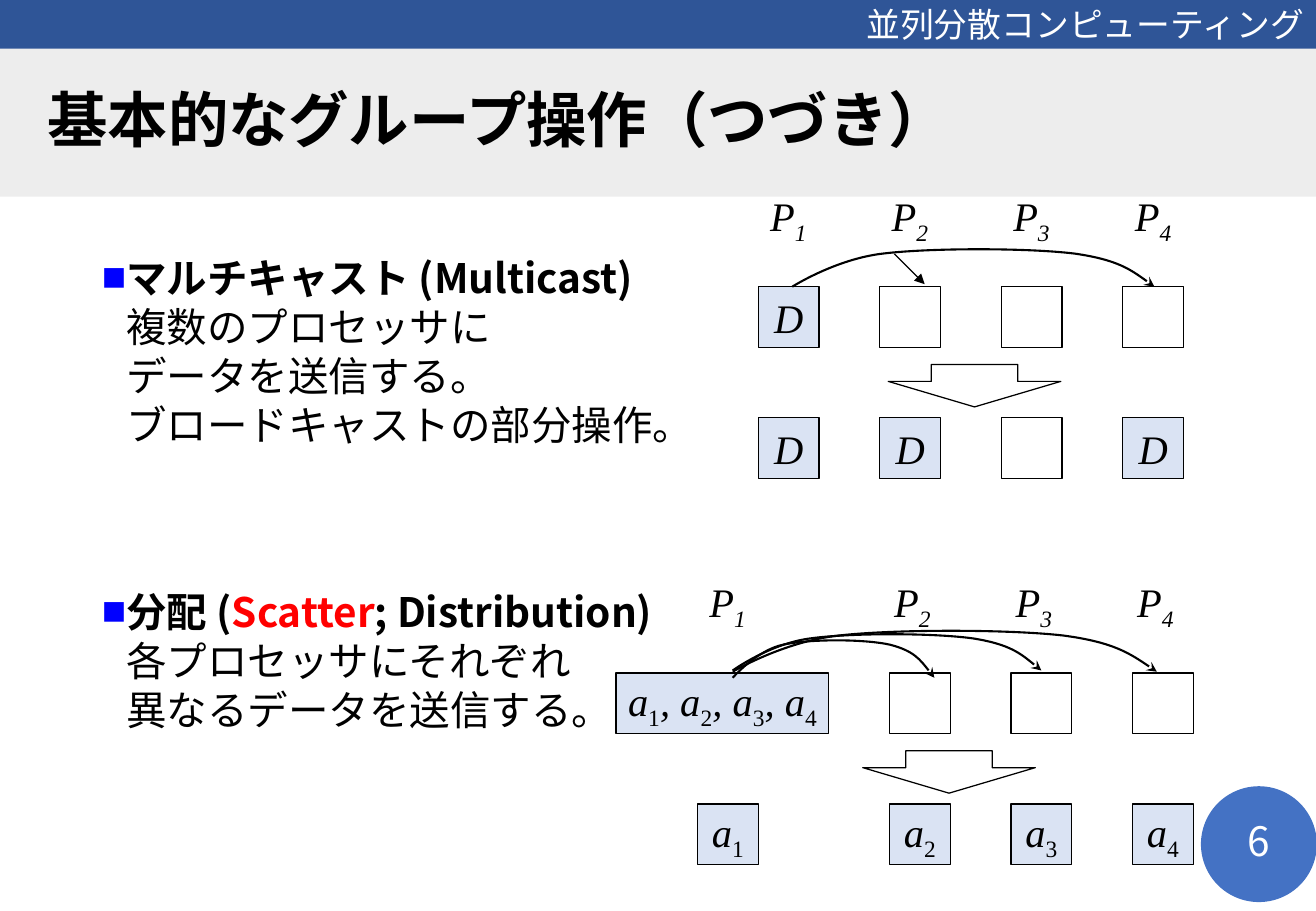
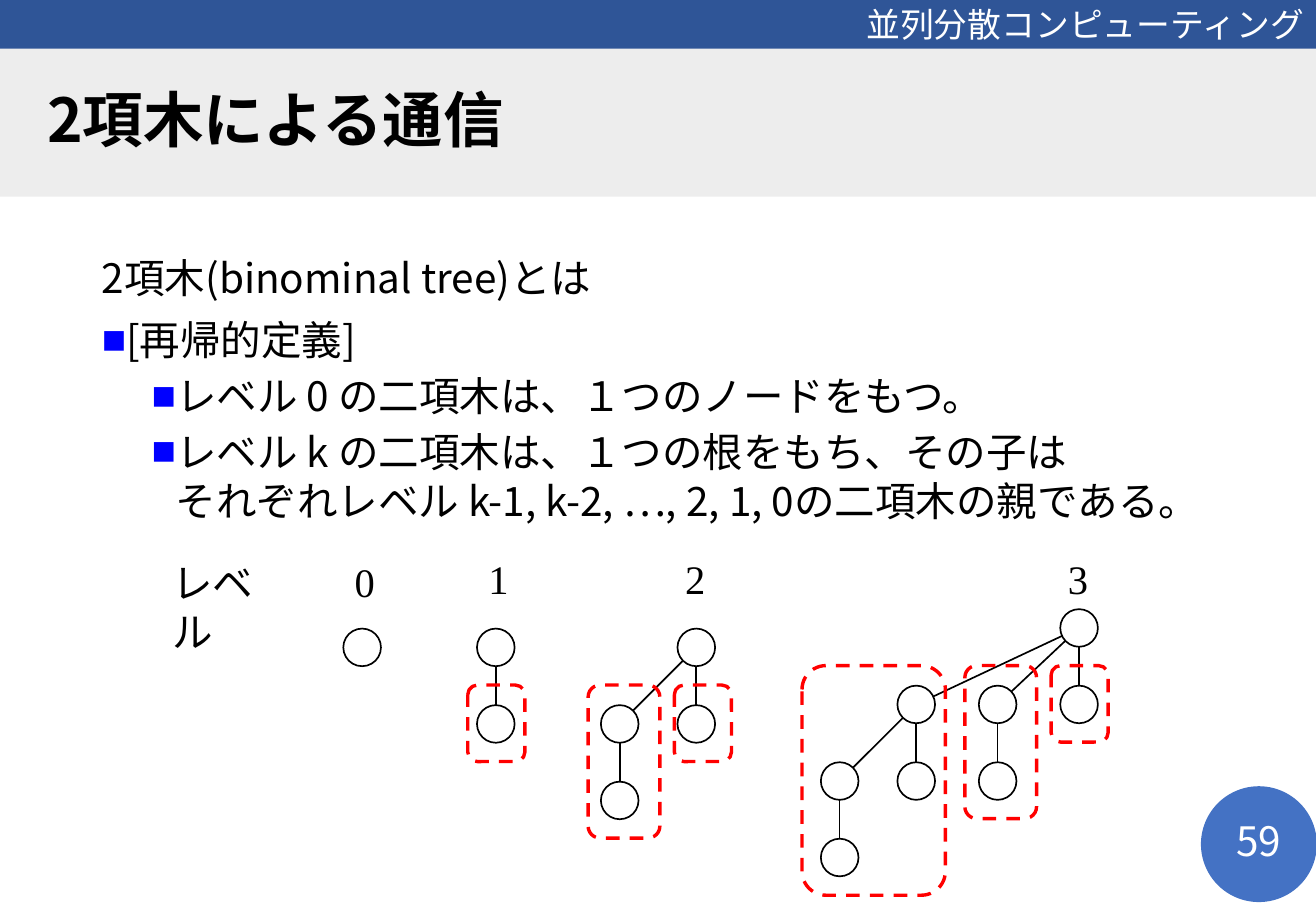
import lxml.etree
import pptx
import pptx.dml.color
import pptx.enum.dml
import pptx.enum.shapes
import pptx.enum.text
import pptx.oxml.ns
import pptx.util

PX = 9144
SLIDE_WIDTH, SLIDE_HEIGHT = 1083, 750

BLACK = pptx.dml.color.RGBColor(0x00, 0x00, 0x00)
WHITE = pptx.dml.color.RGBColor(0xFF, 0xFF, 0xFF)
RED = pptx.dml.color.RGBColor(0xFF, 0x00, 0x00)
BULLET_BLUE = pptx.dml.color.RGBColor(0x00, 0x00, 0xFF)
HEADER_BLUE = pptx.dml.color.RGBColor(0x2F, 0x55, 0x97)
BADGE_BLUE = pptx.dml.color.RGBColor(0x44, 0x72, 0xC4)
DATA_BLUE = pptx.dml.color.RGBColor(0xDA, 0xE3, 0xF3)
TITLE_GRAY = pptx.dml.color.RGBColor(0xED, 0xED, 0xED)

SANS, SERIF, HEADER_FONT = "Noto Sans CJK JP", "Times New Roman", "Lato"
LINE_PITCH = pptx.util.Pt(29)

SHAPES = pptx.enum.shapes.MSO_SHAPE
ALIGN = pptx.enum.text.PP_ALIGN
ANCHOR = pptx.enum.text.MSO_ANCHOR

CELL = 50
ARC_POINTS = [(0, 0), (0.05, 0.34), (0.1, 0.69), (0.22, 0.85), (0.35, 1),
              (0.62, 1), (0.75, 0.85), (0.88, 0.71), (1, 0), (1, 0)]

NODE, GENERATION = 31, 63
CHILD_PITCH = {1: 0, 2: 63, 3: 67}
FRAME_WIDTHS = [47, 59, 118]


def px(*lengths):
    """Turn px lengths into EMU."""
    return [pptx.util.Emu(round(length * PX)) for length in lengths]


def add_element(parent, tag, **attributes):
    """Append a drawing element to a parent."""
    return lxml.etree.SubElement(parent, pptx.oxml.ns.qn(tag), **attributes)


def add_run(paragraph, text, size=24, font=SANS, color=BLACK, bold=False, italic=False, baseline=0):
    """Add one formatted run."""
    run = paragraph.add_run()
    run.text = text
    run.font.size = pptx.util.Pt(size)
    run.font.bold, run.font.italic = bold, italic
    run.font.color.rgb = color
    run.font.name = font
    properties = run.font._element
    add_element(properties, "a:ea", typeface=font)
    if baseline:
        properties.set("baseline", str(baseline * 1000))


def write_paragraph(paragraph, runs, align=ALIGN.LEFT, spacing=None, before=0,
                    bullet_left=None, **run_format):
    """Fill a paragraph with (text, format) runs, breaking lines at newlines."""
    if bullet_left is not None:
        properties = paragraph._p.get_or_add_pPr()
        hanging = px(20)[0]
        properties.set("marL", str(px(bullet_left)[0] + hanging))
        properties.set("indent", str(-hanging))
        add_element(add_element(properties, "a:buClr"), "a:srgbClr", val=str(BULLET_BLUE))
        add_element(properties, "a:buFont", typeface=SERIF)
        add_element(properties, "a:buChar", char="■")
    paragraph.alignment = align
    if spacing:
        paragraph.line_spacing = spacing
    if before:
        paragraph.space_before = pptx.util.Pt(before)
    for text, own_format in runs:
        for number, line in enumerate(text.split("\n")):
            if number:
                paragraph.add_line_break()
            if line:
                add_run(paragraph, line, **{**run_format, **own_format})


def prepare_frame(shape, anchor=ANCHOR.MIDDLE, margins=(10, 5, 10, 5)):
    """Set wrapping, anchor and margins, and return the text frame."""
    frame = shape.text_frame
    frame.word_wrap = True
    frame.vertical_anchor = anchor
    frame.margin_left, frame.margin_top, frame.margin_right, frame.margin_bottom = px(*margins)
    return frame


def add_text(slide, box, runs, anchor=ANCHOR.TOP, **text_format):
    """Add a text box with one paragraph."""
    frame = prepare_frame(slide.shapes.add_textbox(*px(*box)), anchor)
    write_paragraph(frame.paragraphs[0], runs, **text_format)


def add_shape(slide, kind, box, fill=WHITE, line=BLACK, width=0.75):
    """Add a preset shape with a plain fill and line."""
    shape = slide.shapes.add_shape(kind, *px(*box))
    shape.shadow.inherit = False
    if fill is None:
        shape.fill.background()
    else:
        shape.fill.solid()
        shape.fill.fore_color.rgb = fill
    if line is None:
        shape.line.fill.background()
    else:
        shape.line.color.rgb = line
        shape.line.width = pptx.util.Pt(width)
    return shape


def add_line(slide, start, end, width=1.0, arrow=False):
    """Add a straight black line, with an arrowhead at its end if asked."""
    line = slide.shapes.add_connector(
        pptx.enum.shapes.MSO_CONNECTOR.STRAIGHT, *px(*start, *end))
    line.line.color.rgb = BLACK
    line.line.width = pptx.util.Pt(width)
    if arrow:
        add_element(line.line._get_or_add_ln(), "a:tailEnd", type="triangle")
    add_element(line._element.spPr, "a:effectLst")


def add_arc(slide, start_x, end_x, base, height):
    """Add a curved arrow that rises from start_x and lands at end_x."""
    points = [px(end_x + along * (start_x - end_x), base - rise * height)
              for along, rise in ARC_POINTS]
    builder = slide.shapes.build_freeform(*points[0])
    builder.add_line_segments(points[1:], close=False)
    arc = builder.convert_to_shape()
    arc.shadow.inherit = False
    arc.fill.background()
    arc.line.color.rgb = BLACK
    arc.line.width = pptx.util.Pt(1.25)
    add_element(arc.line._get_or_add_ln(), "a:headEnd", type="stealth")
    outline = next(arc._element.iter(pptx.oxml.ns.qn("a:path")))
    segments = outline.findall(pptx.oxml.ns.qn("a:lnTo"))
    for first in range(0, len(segments), 3):
        curve = add_element(outline, "a:cubicBezTo")
        for segment in segments[first:first + 3]:
            curve.append(segment[0])
            outline.remove(segment)


def add_framed_slide(presentation, title, number):
    """Add a slide with the shared header band, title band and page badge."""
    slide = presentation.slides.add_slide(presentation.slide_layouts[6])
    add_shape(slide, SHAPES.OVAL, (989, 648, 94, 94), BADGE_BLUE, BADGE_BLUE, 1)
    header = add_shape(slide, SHAPES.RECTANGLE, (0, -2, SLIDE_WIDTH, 44), HEADER_BLUE, None)
    write_paragraph(prepare_frame(header).paragraphs[0], [("並列分散コンピューティング", {})],
                    align=ALIGN.RIGHT, size=20, font=HEADER_FONT, color=WHITE)
    band = add_shape(slide, SHAPES.RECTANGLE, (0, 40, SLIDE_WIDTH, 122), TITLE_GRAY, None)
    frame = prepare_frame(band, margins=(39, 5, 10, 5))
    write_paragraph(frame.paragraphs[0], [(title, {})], spacing=0.9, size=35.8, bold=True)
    add_text(slide, (989, 672, 94, 40), [(str(number), {})], ANCHOR.MIDDLE,
             align=ALIGN.CENTER, color=WHITE)
    return slide


def add_body(slide, paragraphs):
    """Add the body text from (runs, format) paragraphs."""
    box = slide.shapes.add_textbox(*px(74, 203, 960, 476))
    frame = prepare_frame(box, ANCHOR.TOP)
    for number, (runs, text_format) in enumerate(paragraphs):
        paragraph = frame.add_paragraph() if number else frame.paragraphs[0]
        write_paragraph(paragraph, runs, spacing=LINE_PITCH, **text_format)


def indexed(letter, index, italic_index=False):
    """Return the runs of a letter with a subscript."""
    return [(letter, {"italic": True}), (str(index), {"italic": italic_index, "baseline": -25})]


def add_cell(slide, left, top, runs, width=CELL):
    """Add a processor cell, tinted when it holds data."""
    cell = add_shape(slide, SHAPES.RECTANGLE, (left, top, width, CELL),
                     DATA_BLUE if runs else WHITE)
    if runs:
        frame = prepare_frame(cell, margins=(0, 0, 0, 0))
        write_paragraph(frame.paragraphs[0], runs, align=ALIGN.CENTER, font=SERIF)


def add_operation(slide, left, top, label_columns, cell_columns, before, after, arrow_left):
    """Draw processor labels and the cells before and after an operation."""
    for number, column in enumerate(label_columns, 1):
        add_text(slide, (left + column, top, 58, 50), indexed("P", number, True), font=SERIF)
    for row_top, contents in ((84, before), (192, after)):
        for column, runs in zip(cell_columns[-len(contents):], contents):
            add_cell(slide, left + column, top + row_top, runs)
    arrow = add_shape(slide, SHAPES.DOWN_ARROW, (left + arrow_left, top + 148, 142, 35))
    arrow.adjustments[0], arrow.adjustments[1] = 0.5, 0.6


def add_multicast(slide, left, top):
    """Draw the multicast diagram."""
    columns = [0, 100, 200, 300]
    data = [("D", {"italic": True})]
    add_operation(slide, left, top, columns, columns, [data, [], [], []],
                  [data, data, [], data], 107)
    add_arc(slide, left + 28, left + 326, top + 84, 32)
    add_line(slide, (left + 112, top + 57), (left + 137, top + 82), 0.75, arrow=True)


def add_scatter(slide, left, top):
    """Draw the scatter diagram."""
    items = [indexed("a", number) for number in range(1, 5)]
    all_items = list(items[0])
    for number in range(2, 5):
        all_items += indexed(", a", number)
    add_cell(slide, left - 67, top + 84, all_items, 175)
    add_operation(slide, left, top, [0, 152, 252, 352], [0, 158, 258, 358],
                  [[], [], []], items, 136)
    for end, base, height in ((378, 83, 35), (283, 82, 31), (195, 88, 32)):
        add_arc(slide, left + 29, left + end, top + base, height)


def add_tree(slide, level, x, y, frame_lefts=()):
    """Draw a binomial tree around its root centre, with frames round the subtrees."""
    for child in range(level):
        child_x, child_y = x - CHILD_PITCH[level] * child, y + GENERATION
        add_line(slide, (x, y), (child_x, child_y))
        add_tree(slide, child, child_x, child_y)
    add_shape(slide, SHAPES.OVAL, (x - NODE / 2, y - NODE / 2, NODE, NODE), width=1)
    for child, frame_left in enumerate(frame_lefts):
        box = (x - CHILD_PITCH[level] * child + frame_left, y + GENERATION - 32,
               FRAME_WIDTHS[child], GENERATION * (child + 1))
        frame = add_shape(slide, SHAPES.ROUNDED_RECTANGLE, box, None, RED, 2)
        frame.line.dash_style = pptx.enum.dml.MSO_LINE.DASH


def add_tree_row(slide, left, top):
    """Draw the labelled binomial trees of levels 0 to 3."""
    add_text(slide, (left, top + 3, 115, 50), [("レベル", {})], spacing=LINE_PITCH)
    trees = [(166, 82, 150, 3, ()), (276, 82, 260, 0, (-23,)),
             (441, 82, 422, 0, (-18, -26)), (756, 66, 737, 0, (-23, -27, -94))]
    for level, (x, y, label_left, label_top, frame_lefts) in enumerate(trees):
        add_text(slide, (left + label_left, top + label_top, 45, 50),
                 [(str(level), {})], font=SERIF)
        add_tree(slide, level, left + x, top + y, frame_lefts)


def build_group_operations(presentation):
    """Build the slide on multicast and scatter."""
    slide = add_framed_slide(presentation, "基本的なグループ操作（つづき）", 6)
    bold = {"bold": True}
    add_body(slide, [
        ([("マルチキャスト (Multicast)\n", bold),
          ("複数のプロセッサに\nデータを送信する。\nブロードキャストの部分操作。", {})],
         {"bullet_left": 0}),
        ([("分配 (", bold), ("Scatter", {"bold": True, "color": RED}),
          ("; Distribution)\n", bold),
          ("各プロセッサにそれぞれ\n異なるデータを送信する。", {})],
         {"bullet_left": 0, "before": 82}),
    ])
    add_multicast(slide, 624, 152)
    add_scatter(slide, 574, 470)


def build_binomial_trees(presentation):
    """Build the slide on binomial trees."""
    slide = add_framed_slide(presentation, "2項木による通信", 59)
    nested = {"bullet_left": 41, "before": 4.1}
    add_body(slide, [
        ([("2項木(binominal tree)とは", {})], {}),
        ([("[再帰的定義]", {})], {"bullet_left": 0, "before": 8.1}),
        ([("レベル 0 の二項木は、１つのノードをもつ。", {})], nested),
        ([("レベル k の二項木は、１つの根をもち、その子は\n"
           "それぞれレベル k-1, k-2, …, 2, 1, 0の二項木の親である。", {})], nested),
    ])
    add_tree_row(slide, 132, 451)


def main():
    """Build and save the presentation."""
    presentation = pptx.Presentation()
    presentation.slide_width, presentation.slide_height = px(SLIDE_WIDTH, SLIDE_HEIGHT)
    build_group_operations(presentation)
    build_binomial_trees(presentation)
    presentation.save("out.pptx")


if __name__ == "__main__":
    main()
